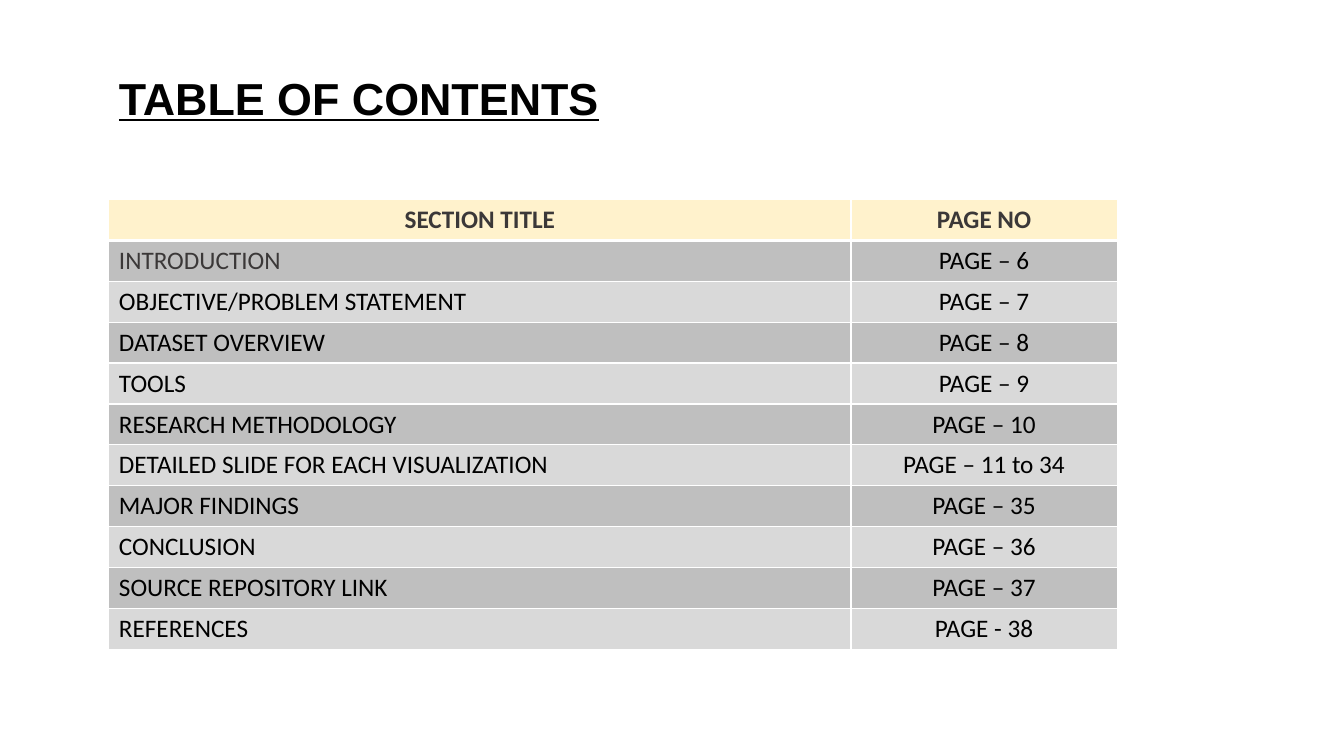
from lxml.etree import SubElement
from pptx import Presentation
from pptx.dml.color import RGBColor
from pptx.enum.text import MSO_ANCHOR, MSO_AUTO_SIZE, PP_ALIGN
from pptx.oxml.ns import qn
from pptx.util import Inches, Pt

COLORS = {
    "ink": "000000",
    "charcoal": "3B3838",
    "cream": "FFF2CC",
    "dark_band": "BFBFBF",
    "light_band": "D9D9D9",
    "white": "FFFFFF",
}

SECTIONS = [
    ("INTRODUCTION", "PAGE – 6"),
    ("OBJECTIVE/PROBLEM STATEMENT", "PAGE – 7"),
    ("DATASET OVERVIEW", "PAGE – 8"),
    ("TOOLS", "PAGE – 9"),
    ("RESEARCH METHODOLOGY", "PAGE – 10"),
    ("DETAILED SLIDE FOR EACH VISUALIZATION", "PAGE – 11 to 34"),
    ("MAJOR FINDINGS", "PAGE – 35"),
    ("CONCLUSION", "PAGE – 36"),
    ("SOURCE REPOSITORY LINK", "PAGE – 37"),
    ("REFERENCES", "PAGE - 38"),
]


class ContentsPage:
    heading_format = {"name": "Arial", "size": Pt(32), "bold": True, "underline": True}
    cell_format = {"name": "Calibri", "size": Pt(18)}

    def __init__(self, page):
        self.page = page

    def label(self, frame, text, color, values, alignment=PP_ALIGN.LEFT):
        para = frame.paragraphs[0]
        para.alignment = alignment
        span = para.add_run()
        span.text = text
        for name, value in values.items():
            setattr(span.font, name, value)
        span.font.color.rgb = RGBColor.from_string(COLORS[color])

    def heading(self, text, left, top, width, height):
        box = self.page.shapes.add_textbox(
            Inches(left), Inches(top), Inches(width), Inches(height))
        box.text_frame.word_wrap = False
        box.text_frame.auto_size = MSO_AUTO_SIZE.SHAPE_TO_FIT_TEXT
        self.label(box.text_frame, text, "ink", self.heading_format)

    def borders(self, cell, top, bottom):
        properties = cell._tc.get_or_add_tcPr()
        for side, width in {"L": 1, "R": 1, "T": top, "B": bottom}.items():
            line = SubElement(properties, qn(f"a:ln{side}"), w=str(Pt(width)))
            fill = SubElement(line, qn("a:solidFill"))
            SubElement(fill, qn("a:srgbClr"), val=COLORS["white"])

    def cell(self, cell, text, fill, color, bold, alignment, top, bottom):
        self.borders(cell, top, bottom)
        cell.fill.solid()
        cell.fill.fore_color.rgb = RGBColor.from_string(COLORS[fill])
        cell.vertical_anchor = MSO_ANCHOR.TOP
        self.label(cell.text_frame, text, color,
                   {**self.cell_format, "bold": bold}, alignment)

    def contents(self, header, sections, left, top, widths, height):
        rows = [header, *sections]
        table = self.page.shapes.add_table(
            len(rows), len(widths), Inches(left), Inches(top),
            Inches(sum(widths)), Inches(height)).table
        for column, width in zip(table.columns, widths):
            column.width = Inches(width)
        for row, texts in enumerate(rows):
            is_header = row == 0
            band = "dark_band" if row % 2 else "light_band"
            for column, text in enumerate(texts):
                is_title = column == 0
                self.cell(
                    table.cell(row, column), text,
                    fill="cream" if is_header else band,
                    color="charcoal" if is_header or (row == 1 and is_title) else "ink",
                    bold=is_header,
                    alignment=PP_ALIGN.LEFT if is_title and not is_header else PP_ALIGN.CENTER,
                    top=3 if row == 1 else 1,
                    bottom=3 if is_header else 1)


def main():
    deck = Presentation()
    deck.slide_width, deck.slide_height = Inches(13.33), Inches(7.5)
    page = ContentsPage(deck.slides.add_slide(deck.slide_layouts[6]))
    page.contents(("SECTION TITLE", "PAGE NO"), SECTIONS,
                  left=1.08, top=1.98, widths=(7.36, 2.64), height=4.46)
    page.heading("TABLE OF CONTENTS", 1.08, 0.65, 5, 0.64)
    deck.save("out.pptx")


if __name__ == "__main__":
    main()
